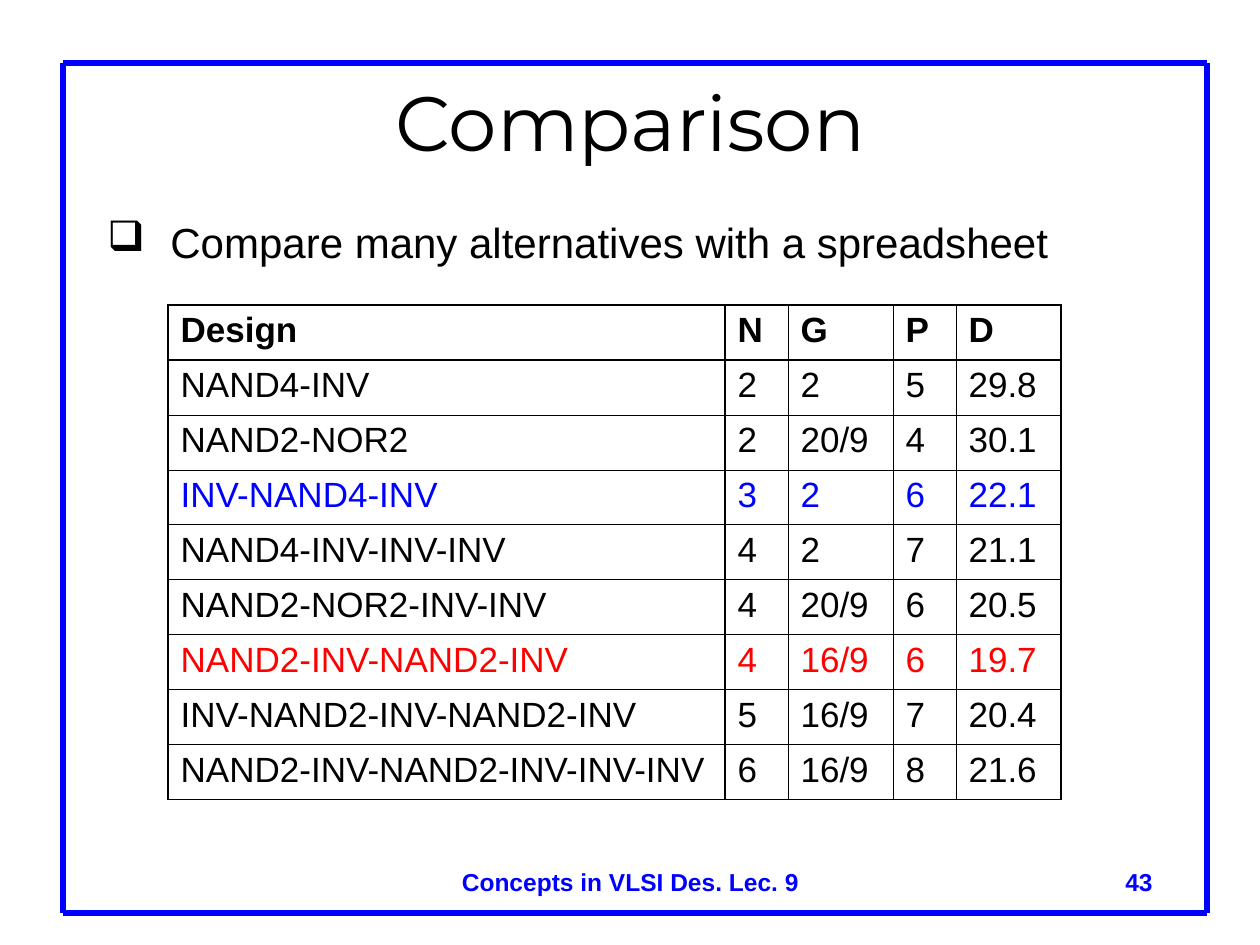
"""Build the slide that compares logic designs in a table."""
from lxml import etree
from pptx import Presentation
from pptx import util as u
from pptx.dml.color import RGBColor
from pptx.enum import shapes, text
from pptx.oxml import ns

BLACK = RGBColor(0, 0, 0)
BLUE = RGBColor(0, 0, 255)
RED = RGBColor(255, 0, 0)
SCALE = 914400 / 126


def px(*values):
    return [u.Emu(round(v * SCALE)) for v in values]


def write(tf, content, size=20, color=BLACK, bold=False, font="Arial",
          align=text.PP_ALIGN.LEFT, anchor=text.MSO_ANCHOR.TOP, bullet=None):
    tf.word_wrap = True
    tf.vertical_anchor = anchor
    p = tf.paragraphs[0]
    p.alignment = align
    if bullet:
        pPr = p._p.get_or_add_pPr()
        pPr.set("marL", str(u.Inches(0.5)))
        pPr.set("indent", str(-u.Inches(0.5)))
        etree.SubElement(pPr, ns.qn("a:buChar")).set("char", bullet)
    r = p.add_run()
    r.text = content
    r.font.name = font
    r.font.size = u.Pt(size)
    r.font.bold = bold
    r.font.color.rgb = color


prs = Presentation()
prs.slide_width, prs.slide_height = px(1260, 945)
s = prs.slides.add_slide(prs.slide_layouts[5])

left, top, right, bottom = 63, 63, 1207, 913
for ends in [(left, top, left, bottom), (left, top, right, top),
             (right, top, right, bottom), (left, bottom, right, bottom)]:
    line = s.shapes.add_connector(shapes.MSO_CONNECTOR.STRAIGHT, *px(*ends))
    line.line.color.rgb = BLUE
    line.line.width = u.Pt(3)
    etree.SubElement(line._element.spPr, ns.qn("a:effectLst"))

title = s.shapes.title
title.left, title.top, title.width, title.height = px(95, 73, 1071, 95)
title.text_frame.auto_size = text.MSO_AUTO_SIZE.NONE
write(title.text_frame, "Comparison", size=44, font="Montserrat",
      align=text.PP_ALIGN.CENTER, anchor=text.MSO_ANCHOR.MIDDLE)

body = s.shapes.add_textbox(*px(95, 210, 1071, 630))
write(body.text_frame, "Compare many alternatives with a spreadsheet", size=24, bullet="❑")

rows = [
    ("Design", "N", "G", "P", "D"),
    ("NAND4-INV", "2", "2", "5", "29.8"),
    ("NAND2-NOR2", "2", "20/9", "4", "30.1"),
    ("INV-NAND4-INV", "3", "2", "6", "22.1"),
    ("NAND4-INV-INV-INV", "4", "2", "7", "21.1"),
    ("NAND2-NOR2-INV-INV", "4", "20/9", "6", "20.5"),
    ("NAND2-INV-NAND2-INV", "4", "16/9", "6", "19.7"),
    ("INV-NAND2-INV-NAND2-INV", "5", "16/9", "7", "20.4"),
    ("NAND2-INV-NAND2-INV-INV-INV", "6", "16/9", "8", "21.6"),
]
row_colors = {3: BLUE, 6: RED}
col_widths = px(557, 63, 105, 63, 105)
row_height = 55
last_row, last_col = len(rows) - 1, len(col_widths) - 1
table = s.shapes.add_table(len(rows), len(col_widths),
                           *px(168, 305, 893, row_height * len(rows))).table
table.first_row = table.horz_banding = False
for col, width in zip(table.columns, col_widths):
    col.width = width
for i, values in enumerate(rows):
    table.rows[i].height = px(row_height)[0]
    for j, value in enumerate(values):
        cell = table.cell(i, j)
        cell.fill.background()
        cell.margin_left = cell.margin_right = u.Inches(0.1)
        cell.margin_top = cell.margin_bottom = u.Inches(0.05)
        write(cell.text_frame, value, color=row_colors.get(i, BLACK), bold=i == 0)
        heavy = {"L": j <= 1, "R": j in (0, last_col), "T": i <= 1, "B": i in (0, last_row)}
        tcPr = cell._tc.get_or_add_tcPr()
        for k, (side, thick) in enumerate(heavy.items()):
            ln = etree.Element(ns.qn(f"a:ln{side}"), w=str(u.Pt(1.08 if thick else 0.45)))
            fill = etree.SubElement(ln, ns.qn("a:solidFill"))
            etree.SubElement(fill, ns.qn("a:srgbClr")).set("val", str(BLACK))
            tcPr.insert(k, ln)

for x, width, content, align in [
    (95, 1071, "Concepts in VLSI Des. Lec. 9", text.PP_ALIGN.CENTER),
    (903, 262, "43", text.PP_ALIGN.RIGHT),
]:
    sp = s.shapes.add_textbox(*px(x, 861, width, 63))
    write(sp.text_frame, content, size=14, color=BLUE, bold=True, align=align)

prs.save("out.pptx")
